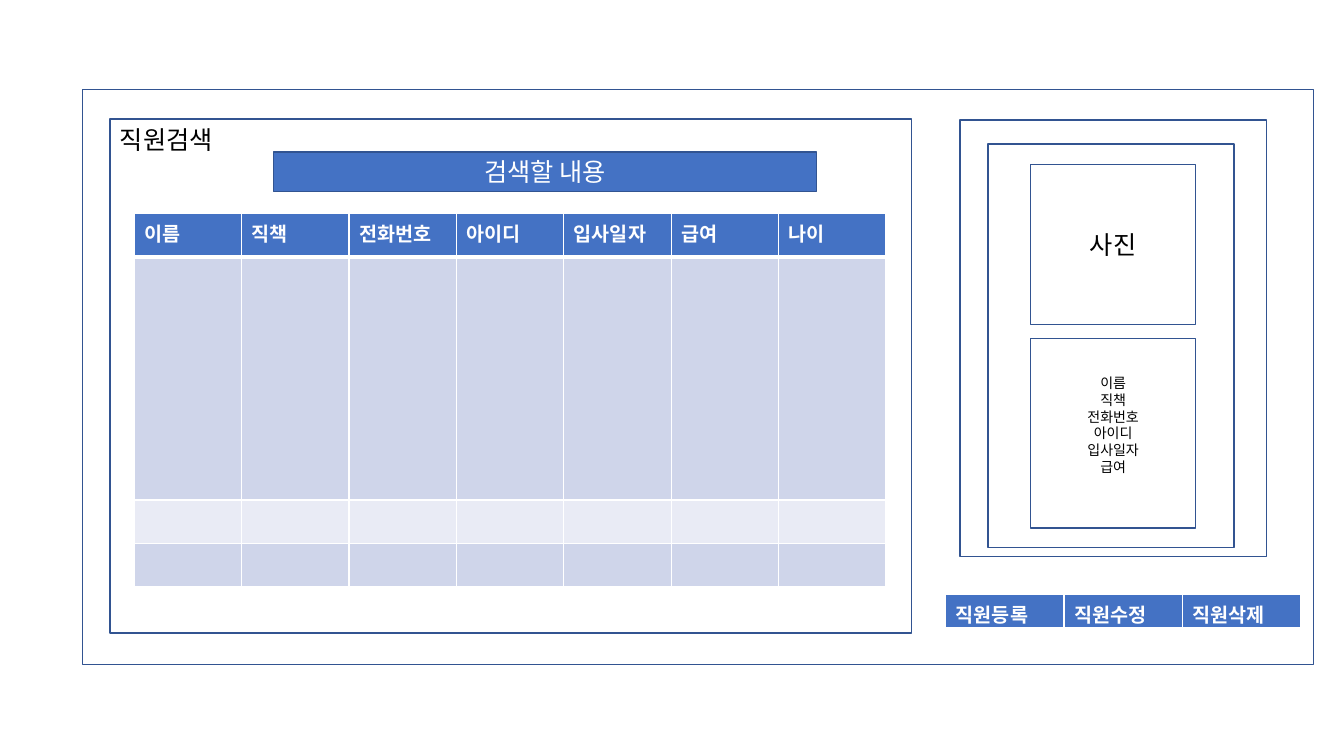
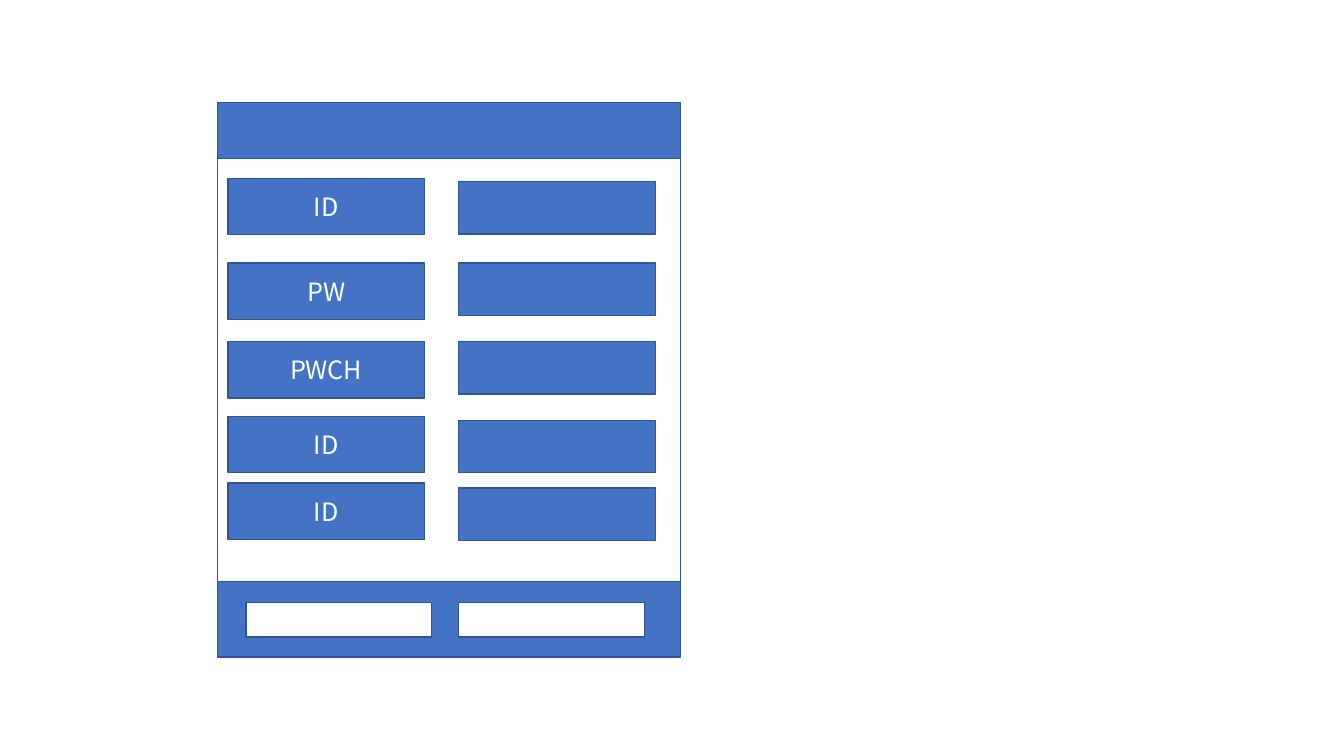
from lxml import etree
from pptx import Presentation
from pptx.dml.color import RGBColor
from pptx.enum.shapes import MSO_SHAPE
from pptx.enum.text import MSO_ANCHOR, PP_ALIGN
from pptx.oxml.ns import qn
from pptx.util import Inches, Pt

RECT = MSO_SHAPE.RECTANGLE
MIDDLE = MSO_ANCHOR.MIDDLE
CENTER, LEFT = PP_ALIGN.CENTER, PP_ALIGN.LEFT
FONT = "Noto Sans CJK KR"
BLUE, EDGE, WHITE, BLACK = "4472C4", "325491", "FFFFFF", "000000"
BANDS = ["CFD5EA", "E9EBF5"]

# Staff search screen
SEARCH = "직원검색"
QUERY = "검색할 내용"
PHOTO = "사진"
FIELDS = ["이름", "직책", "전화번호", "아이디", "입사일자", "급여"]
HEADS = FIELDS + ["나이"]
ACTIONS = ["직원등록", "직원수정", "직원삭제"]
FRAMES = [
    (0.82, 0.89, 12.21, 5.7),
    (1.09, 1.18, 7.95, 5.1),
    (9.52, 1.19, 3.04, 4.33),
    (9.8, 1.43, 2.44, 4),
]

# Sign-up form: label, label top, entry top
ROWS = [
    ("ID", 1.77, 1.8),
    ("PW", 2.61, 2.61),
    ("PWCH", 3.39, 3.39),
    ("ID", 4.13, 4.17),
    ("ID", 4.79, 4.84),
]
LABEL_X, ENTRY_X, FIELD_W = 2.26, 4.55, 1.95
LABEL_H, ENTRY_H = 0.56, 0.52
BUTTONS = [2.44, 4.55]


def rgb(code):
    """Turn a hex string into a colour."""
    return RGBColor.from_string(code)


def write(frame, text, size, color, align=LEFT, bold=False):
    """Set the text of a frame and format its runs."""
    frame.text = text
    for para in frame.paragraphs:
        para.alignment = align
        for run in para.runs:
            font = run.font
            font.size, font.bold, font.name = Pt(size), bold, FONT
            font.color.rgb = rgb(color)
            east = etree.SubElement(font._element, qn("a:ea"))
            east.set("typeface", FONT)


def box(slide, at, fill=None, text="", size=18, color=WHITE):
    """Draw an outlined rectangle, filled or open, with centred text."""
    shape = slide.shapes.add_shape(RECT, *map(Inches, at))
    shape.shadow.inherit = False
    if fill:
        shape.fill.solid()
        shape.fill.fore_color.rgb = rgb(fill)
    else:
        shape.fill.background()
    shape.line.color.rgb = rgb(EDGE)
    shape.line.width = Pt(1)
    if text:
        shape.text_frame.vertical_anchor = MIDDLE
        write(shape.text_frame, text, size, color, CENTER)
    return shape


def border(cell, side, width):
    """Add a white border to one side of a cell."""
    line = etree.SubElement(cell._tc.get_or_add_tcPr(), qn("a:ln" + side))
    line.set("w", str(Pt(width)))
    fill = etree.SubElement(line, qn("a:solidFill"))
    etree.SubElement(fill, qn("a:srgbClr")).set("val", WHITE)


def grid(slide, at, heads, heights):
    """Draw a table with a blue head row and empty banded rows."""
    shape = slide.shapes.add_table(len(heights), len(heads), *map(Inches, at))
    table = shape.table
    for col in table.columns:
        col.width = Inches(at[2] / len(heads))
    for r, height in enumerate(heights):
        table.rows[r].height = Inches(height)
        for c, head in enumerate(heads):
            cell = table.cell(r, c)
            border(cell, "L", 1)
            border(cell, "R", 1)
            if r == 0:
                border(cell, "T", 1)
            border(cell, "B", 1 if r else 3)
            cell.fill.solid()
            cell.fill.fore_color.rgb = rgb(BANDS[(r - 1) % 2] if r else BLUE)
            if r == 0:
                write(cell.text_frame, head, 14, WHITE, bold=True)


def search(slide):
    """Build the staff search screen."""
    for at in FRAMES:
        box(slide, at)
    box(slide, (10.22, 1.63, 1.64, 1.59), None, PHOTO, 18, BLACK)
    card = box(slide, (10.22, 3.36, 1.64, 1.88), None,
               "\n".join(FIELDS), 10, BLACK)
    card.text_frame.margin_bottom = Inches(0.22)
    grid(slide, (1.33, 2.12, 7.46, 3.7), HEADS, [0.43, 2.41, 0.43, 0.43])
    box(slide, (2.71, 1.51, 5.39, 0.39), BLUE, QUERY)
    label = slide.shapes.add_textbox(*map(Inches, (1.09, 1.18, 1.61, 0.4)))
    label.text_frame.word_wrap = True
    write(label.text_frame, SEARCH, 18, BLACK)
    grid(slide, (9.38, 5.9, 3.52, 0.33), ACTIONS, [0.33])


def signup(slide):
    """Build the sign-up form."""
    box(slide, (2.16, 1.02, 4.59, 5.5), BLUE)
    box(slide, (2.16, 1.57, 4.59, 4.2), WHITE)
    for x in BUTTONS:
        box(slide, (x, 5.98, 1.84, 0.34), WHITE)
    for text, top, entry in ROWS:
        box(slide, (ENTRY_X, entry, FIELD_W, ENTRY_H), BLUE)
        box(slide, (LABEL_X, top, FIELD_W, LABEL_H), BLUE, text)


deck = Presentation()
deck.slide_width, deck.slide_height = Inches(13.33), Inches(7.5)
blank = deck.slide_layouts[6]
for build in (search, signup):
    build(deck.slides.add_slide(blank))
deck.save("out.pptx")
